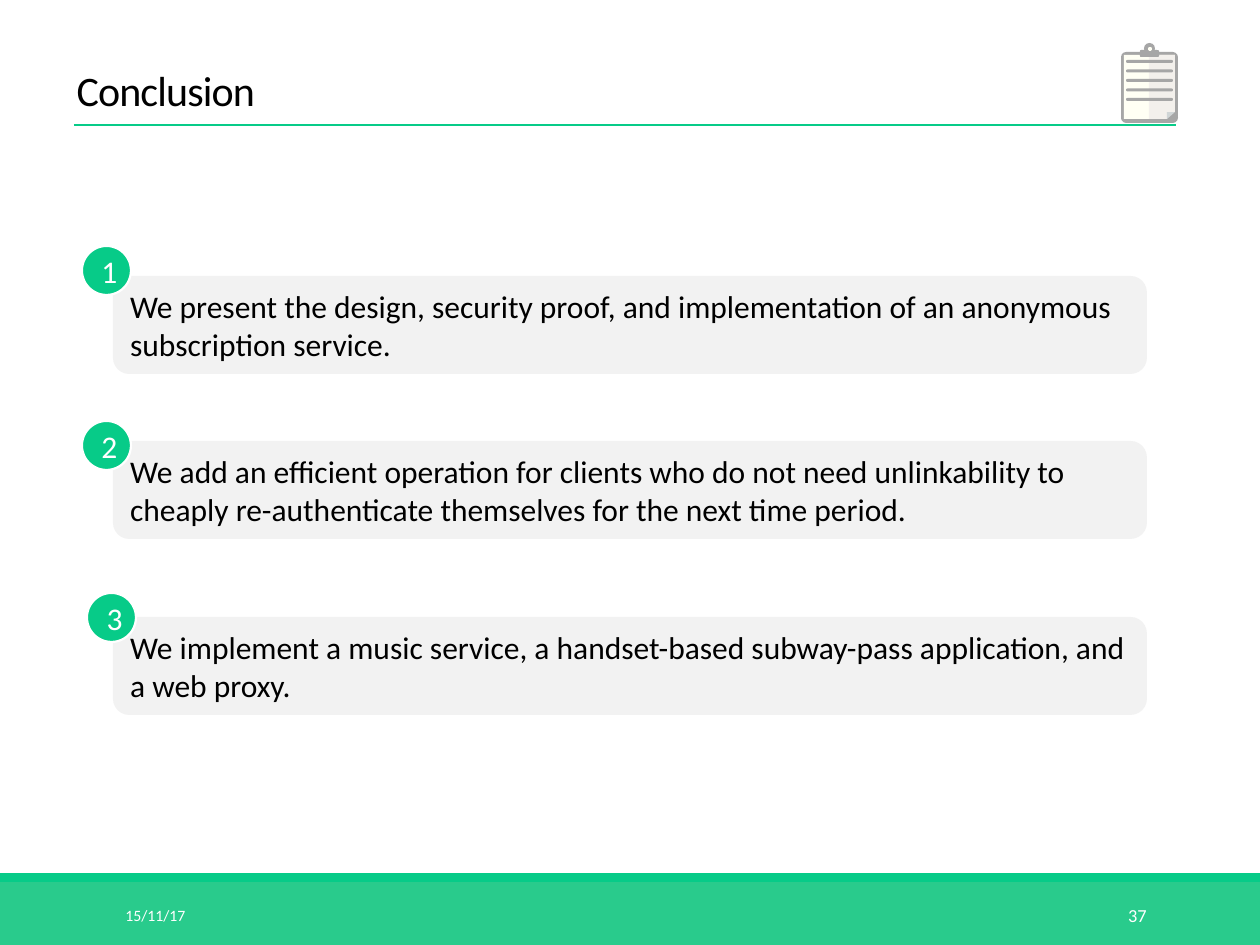
from lxml import etree
from pptx import Presentation
from pptx.dml.color import RGBColor
from pptx.enum.shapes import MSO_CONNECTOR, MSO_SHAPE
from pptx.enum.text import MSO_ANCHOR, PP_ALIGN
from pptx.oxml.ns import qn
from pptx.util import Pt

SCALE = 914400 / 126
FONT = "Calibri"
RECTANGLE, ROUNDED, OVAL = MSO_SHAPE.RECTANGLE, MSO_SHAPE.ROUNDED_RECTANGLE, MSO_SHAPE.OVAL
TOP, MIDDLE, BOTTOM = MSO_ANCHOR.TOP, MSO_ANCHOR.MIDDLE, MSO_ANCHOR.BOTTOM
LEFT, CENTER, RIGHT = PP_ALIGN.LEFT, PP_ALIGN.CENTER, PP_ALIGN.RIGHT

BLACK = RGBColor(0x00, 0x00, 0x00)
WHITE = RGBColor(0xFF, 0xFF, 0xFF)
GREEN = RGBColor(0x07, 0xCB, 0x88)
FOOTER_GREEN = RGBColor(0x29, 0xCB, 0x8C)
CARD_GRAY = RGBColor(0xF2, 0xF2, 0xF2)
ICON_GRAY = RGBColor(0xA6, 0xA6, 0xA6)
PAPER = RGBColor(0xFF, 0xFF, 0xF4)
PAPER_SHADE = RGBColor(0xF3, 0xF0, 0xEC)

TITLE = "Conclusion"
CONCLUSIONS = [
    ("We present the design, security proof, and implementation of an anonymous "
     "subscription service.", 276, (82, 246)),
    ("We add an efficient operation for clients who do not need unlinkability to "
     "cheaply re-authenticate themselves for the next time period.", 441, (82, 421)),
    ("We implement a music service, an Handset-based subway-pass application, "
     "and a web proxy.".replace("an Handset", "a handset"), 617, (87, 593)),
]
FOOTER_BANDS = [((0, 882, 1260, 63), FOOTER_GREEN), ((0, 873, 1260, 9), GREEN)]
FOOTER_TEXTS = [("15/11/17", (113, 890, 256, 50), 9, LEFT),
                ("37", (1023, 890, 136, 50), 10.5, RIGHT)]
PAPER_OUTLINE = [(1124, 55), (1175, 55), (1175, 112), (1167, 112), (1167, 119), (1124, 119)]
SHADE_OUTLINE = [(1149, 55)] + PAPER_OUTLINE[1:5] + [(1149, 119)]
FOLD_OUTLINE = [(1167, 112), (1175, 112), (1167, 119)]
FOLD_GRAY = RGBColor(0xD0, 0xD5, 0xD6)
CLIP_PARTS = [(OVAL, (1144, 43, 11, 11), ICON_GRAY),
              (ROUNDED, (1140, 50, 19, 7), ICON_GRAY),
              (OVAL, (1148, 47, 4, 4), PAPER)]


def px(value):
    return round(value * SCALE)


def paint(shape, color):
    shape.shadow.inherit = False
    shape.fill.solid()
    shape.fill.fore_color.rgb = color
    shape.line.fill.background()
    return shape


def add_box(shapes, kind, box, color):
    return paint(shapes.add_shape(kind, *map(px, box)), color)


def add_outline(shapes, points, color):
    builder = shapes.build_freeform(*points[0], scale=SCALE)
    builder.add_line_segments(points[1:], close=True)
    return paint(builder.convert_to_shape(), color)


def write(shape, text, size, color, align=LEFT, anchor=MIDDLE):
    frame = shape.text_frame
    frame.text = text
    frame.word_wrap = True
    frame.vertical_anchor = anchor
    paragraph = frame.paragraphs[0]
    paragraph.alignment = align
    font = paragraph.runs[0].font
    font.name, font.size, font.color.rgb = FONT, Pt(size), color
    return paragraph


def add_clipboard(slide):
    shapes = slide.shapes.add_group_shape().shapes
    board = add_box(shapes, ROUNDED, (1121, 52, 57, 71), ICON_GRAY)
    board.adjustments[0] = 0.09
    add_outline(shapes, PAPER_OUTLINE, PAPER)
    add_outline(shapes, SHADE_OUTLINE, PAPER_SHADE)
    add_outline(shapes, FOLD_OUTLINE, FOLD_GRAY)
    for part in CLIP_PARTS:
        add_box(shapes, *part)
    for index in range(5):
        rule = add_box(shapes, ROUNDED, (1126, 60 + 9.5 * index, 47, 3), ICON_GRAY)
        rule.adjustments[0] = 0.5


def main():
    presentation = Presentation()
    presentation.slide_width, presentation.slide_height = px(1260), px(945)
    slide = presentation.slides.add_slide(presentation.slide_layouts[5])
    shapes = slide.shapes

    for box, color in FOOTER_BANDS:
        add_box(shapes, RECTANGLE, box, color)
    for text, box, size, align in FOOTER_TEXTS:
        write(shapes.add_textbox(*map(px, box)), text, size, WHITE, align)

    title = shapes.title
    title.left, title.top, title.width, title.height = map(px, (64, 45, 945, 76))
    paragraph = write(title, TITLE, 24, BLACK, anchor=BOTTOM)
    paragraph.line_spacing = 0.85
    paragraph.runs[0].font._element.set("spc", "-50")

    underline = shapes.add_connector(MSO_CONNECTOR.STRAIGHT, px(74), px(125), px(1176), px(125))
    underline.line.color.rgb = GREEN
    underline.line.width = Pt(1.5)
    etree.SubElement(underline._element.spPr, qn("a:effectLst"))

    add_clipboard(slide)

    for text, top, _ in CONCLUSIONS:
        card = add_box(shapes, ROUNDED, (113, top, 1034, 98), CARD_GRAY)
        write(card, text, 18, BLACK, anchor=TOP)
    for number, (_, _, corner) in enumerate(CONCLUSIONS, 1):
        badge = add_box(shapes, OVAL, (*corner, 49, 49), GREEN)
        badge.line.color.rgb = WHITE
        badge.line.width = Pt(1.25)
        write(badge, str(number), 18, WHITE, CENTER)

    presentation.save("out.pptx")


if __name__ == "__main__":
    main()
